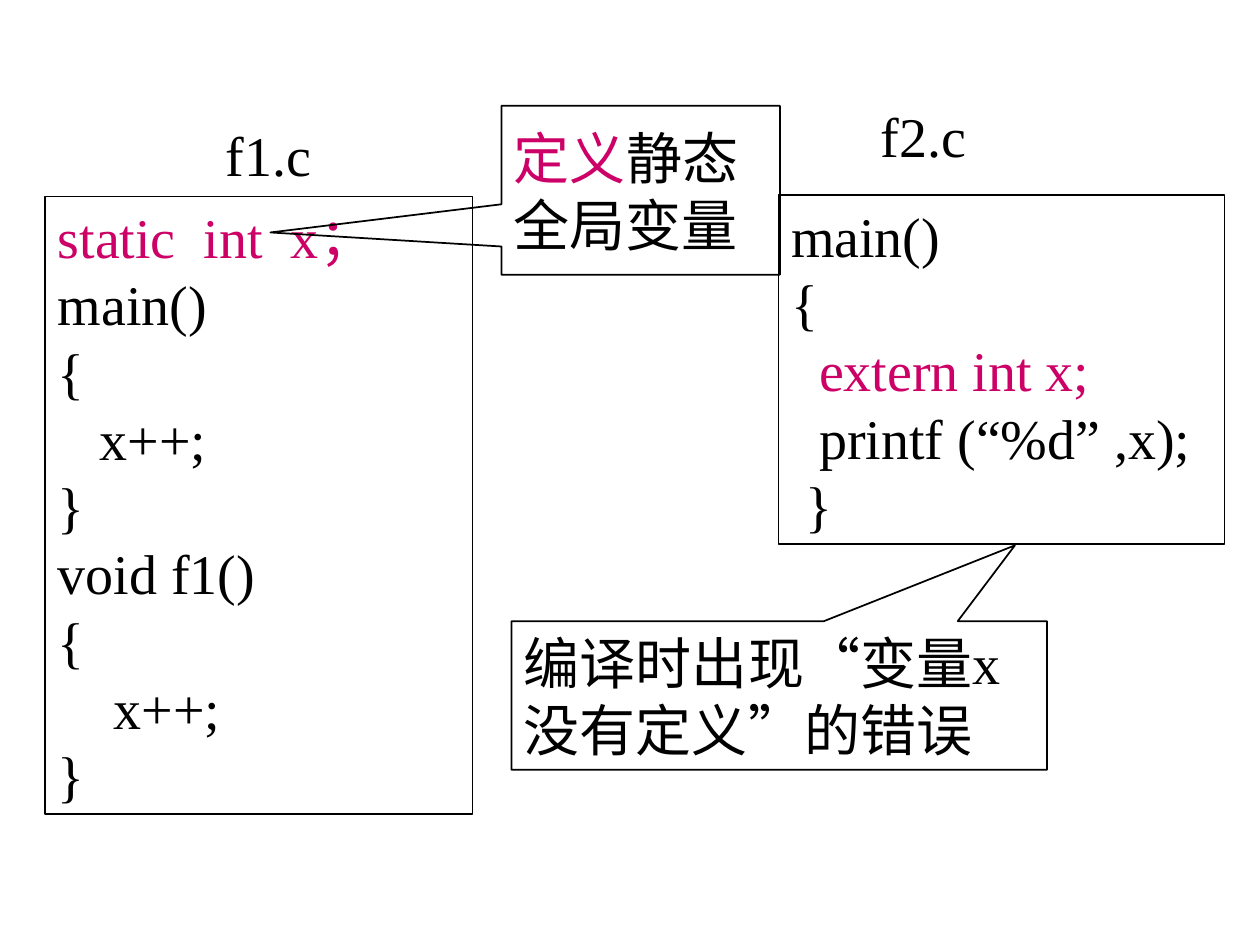
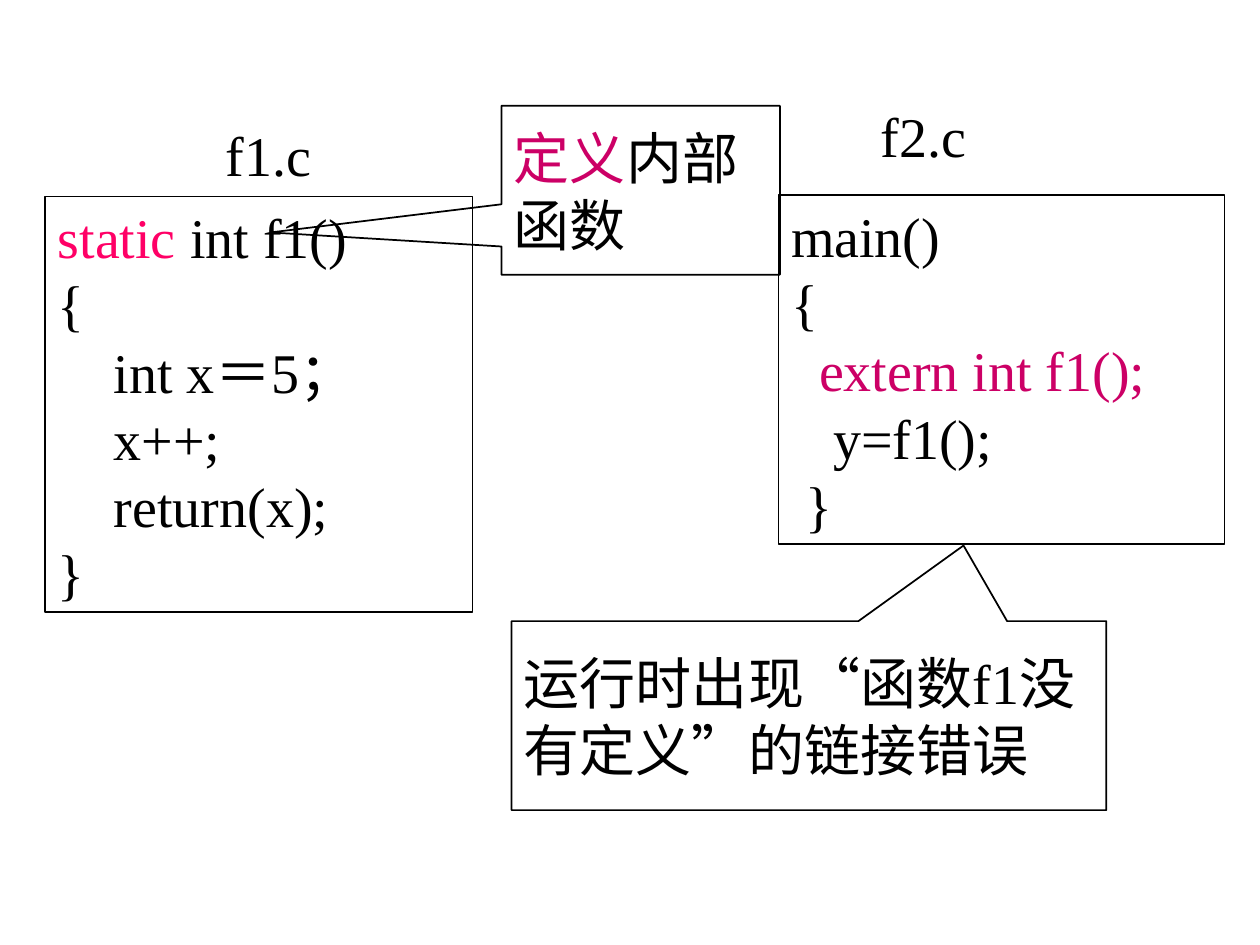
from dataclasses import dataclass

from pptx import Presentation
from pptx.dml.color import RGBColor
from pptx.enum.shapes import MSO_SHAPE
from pptx.enum.text import MSO_ANCHOR, MSO_AUTO_SIZE, PP_ALIGN
from pptx.util import Inches, Pt

FONT = "Times New Roman"
SIZE = Pt(32)
COLORS = {"ink": "000000", "key": "CC0066", "hot": "FF0066"}

Run = tuple[str, str]
Line = list[Run]


@dataclass
class Box:
    left: float
    top: float
    width: float
    height: float

    def lengths(self) -> list:
        return [Inches(n) for n in (self.left, self.top, self.width, self.height)]


@dataclass
class File:
    name: str
    label: Box
    panel: Box
    lines: list[Line]


@dataclass
class Callout:
    box: Box
    tip: tuple[float, float]
    line: Line


def code(text: str) -> list[Line]:
    """Split plain code into lines of one black run each."""
    return [[(row, "ink")] for row in text.split("\n")]


def rgb(name: str) -> RGBColor:
    return RGBColor.from_string(COLORS[name])


def write(frame, lines: list[Line], align=PP_ALIGN.LEFT) -> None:
    for i, line in enumerate(lines):
        para = frame.paragraphs[0] if i == 0 else frame.add_paragraph()
        para.alignment = align
        para.font.name = FONT
        para.font.size = SIZE
        para.font.color.rgb = rgb("ink")
        for text, color in line:
            run = para.add_run()
            run.text = text
            if color != "ink":
                run.font.color.rgb = rgb(color)


def outline(shapes, kind: MSO_SHAPE, box: Box):
    """Add an unfilled shape with a thin black line."""
    shape = shapes.add_shape(kind, *box.lengths())
    shape.shadow.inherit = False
    shape.fill.background()
    shape.line.color.rgb = rgb("ink")
    shape.line.width = Pt(1)
    shape.text_frame.word_wrap = True
    return shape


def draw_file(slide, file: File) -> None:
    shapes = slide.shapes.add_group_shape().shapes
    panel = outline(shapes, MSO_SHAPE.RECTANGLE, file.panel).text_frame
    panel.vertical_anchor = MSO_ANCHOR.TOP
    panel.auto_size = MSO_AUTO_SIZE.SHAPE_TO_FIT_TEXT
    write(panel, file.lines)
    label = shapes.add_textbox(*file.label.lengths()).text_frame
    label.word_wrap = False
    label.auto_size = MSO_AUTO_SIZE.SHAPE_TO_FIT_TEXT
    write(label, code(file.name), PP_ALIGN.CENTER)


def draw_callout(slide, note: Callout) -> None:
    shape = outline(slide.shapes, MSO_SHAPE.RECTANGULAR_CALLOUT, note.box)
    for i, offset in enumerate(note.tip):
        shape.adjustments[i] = offset
    shape.text_frame.vertical_anchor = MSO_ANCHOR.MIDDLE
    write(shape.text_frame, [note.line])


def first(height: float, lines: list[Line]) -> File:
    return File("f1.c", Box(1.69, 0.91, 0.88, 0.64), Box(0.36, 1.56, 3.39, height), lines)


def second(symbol: str, use: str) -> File:
    lines = [*code("main()\n{"), [("  ", "ink"), (f"extern int {symbol};", "key")],
             *code(f"{use}\n }}")]
    return File("f2.c", Box(6.89, 0.76, 0.88, 0.64), Box(6.18, 1.55, 3.54, 2.77), lines)


def define(what: str) -> Callout:
    return Callout(Box(3.98, 0.84, 2.21, 1.34), (-1.33, 0.25),
                   [("定义", "key"), (what, "ink")])


def error(width: float, height: float, tip: tuple[float, float], text: str) -> Callout:
    return Callout(Box(4.06, 4.93, width, height), tip, [(text, "ink")])


SLIDES = [
    (
        first(4.9, [[("static  int  x；", "key")],
                    *code("main()\n{\n   x++;\n}\nvoid f1()\n{\n    x++;\n}")]),
        second("x", "  printf (“%d” ,x);"),
        define("静态全局变量"),
        error(4.25, 1.18, (0.44, -1.01), "编译时出现“变量x没有定义”的错误"),
    ),
    (
        first(3.3, [[("static", "hot"), (" int f1()", "ink")],
                    *code("{\n    int x＝5；\n    x++;\n    return(x);\n}")]),
        second("f1()", "   y=f1();"),
        define("内部函数"),
        error(4.72, 1.5, (0.26, -0.9), "运行时出现“函数f1没有定义”的链接错误"),
    ),
]


def main() -> None:
    deck = Presentation()
    deck.slide_width, deck.slide_height = Inches(10), Inches(7.5)
    blank = deck.slide_layouts[6]
    for *files, note, fault in SLIDES:
        slide = deck.slides.add_slide(blank)
        for file in files:
            draw_file(slide, file)
        for item in (note, fault):
            draw_callout(slide, item)
    deck.save("out.pptx")


if __name__ == "__main__":
    main()
